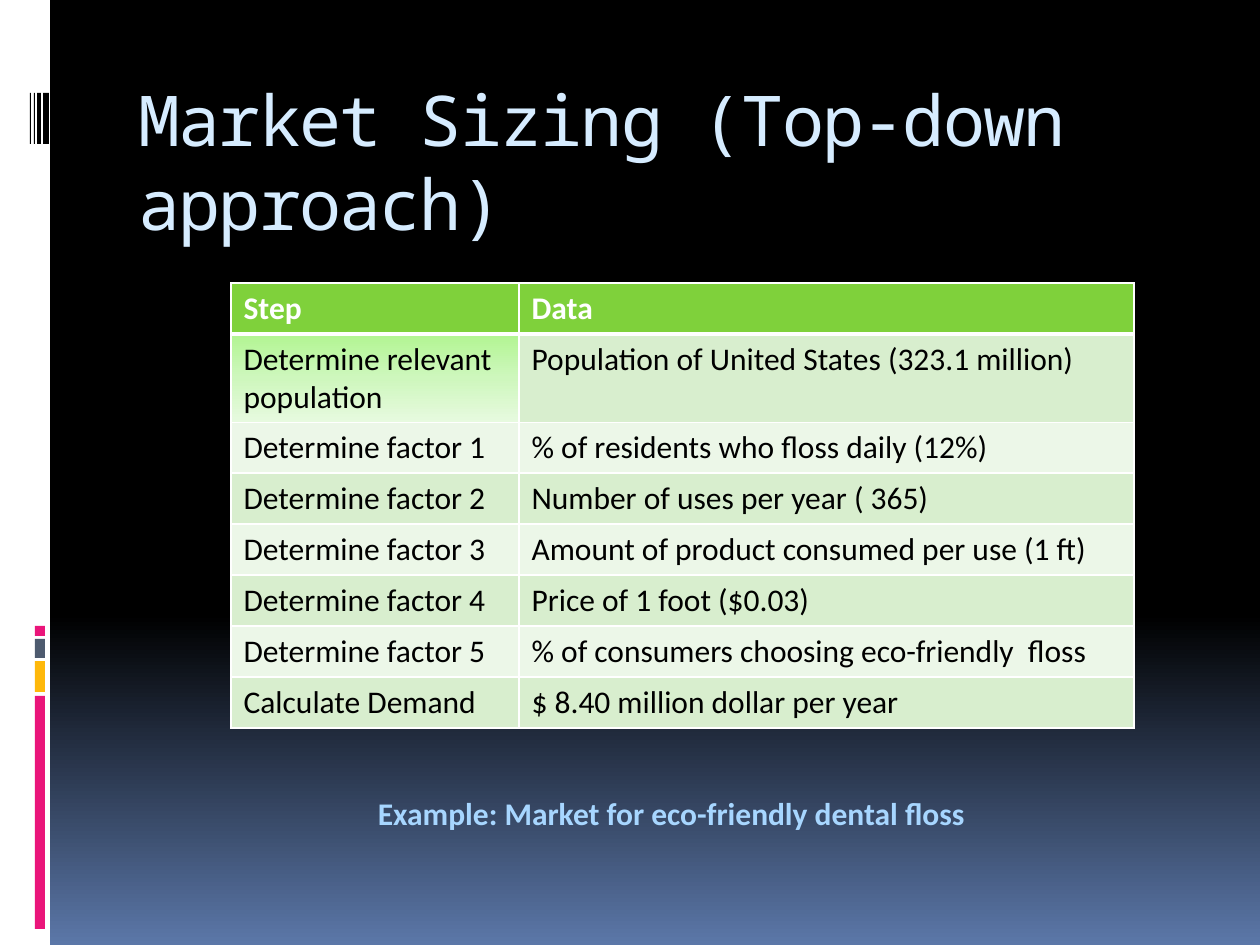
from lxml import etree
from pptx import Presentation
from pptx import util as u
from pptx.dml.color import RGBColor
from pptx.enum import shapes, text
from pptx.oxml.ns import qn

SCALE = 914400 / 126

STRIPES = [  # left, top, width, height, colour
    (0, 0, 50, 945, "FFFFFF"),
    (35, 696, 10, 233, "EA157A"),
    (35, 661, 10, 31, "FEB80A"),
    (35, 639, 10, 19, "4E5B6F"),
    (35, 626, 10, 10, "EA157A"),
]
BARS = [(43, 6), (37, 4), (34, 1), (30, 1)]  # left, width

ROWS = [
    ("Step", "Data"),
    ("Determine relevant population", "Population of United States (323.1 million)"),
    ("Determine factor 1", "% of residents who floss daily (12%)"),
    ("Determine factor 2", "Number of uses per year ( 365)"),
    ("Determine factor 3", "Amount of product consumed per use (1 ft)"),
    ("Determine factor 4", "Price of 1 foot ($0.03)"),
    ("Determine factor 5", "% of consumers choosing eco-friendly  floss"),
    ("Calculate Demand", "$ 8.40 million dollar per year"),
]


def px(n):
    return u.Emu(round(n * SCALE))


def rgb(code):
    return RGBColor.from_string(code)


def blend(fill, root, stops):
    """Fill downwards with (percent, colour) stops; root holds the fill's XML."""
    fill.gradient()
    fill.gradient_angle = 270
    lst = root.find(".//" + qn("a:gsLst"))
    for old in list(lst):
        lst.remove(old)
    for pos, code in stops:
        stop = etree.SubElement(lst, qn("a:gs"), pos=str(pos * 1000))
        etree.SubElement(stop, qn("a:srgbClr"), val=code)


def edge(cell, sizes):
    """Draw white borders, with widths in points for left, right, top, bottom."""
    props = cell._tc.get_or_add_tcPr()
    for i, (side, size) in enumerate(zip("LRTB", sizes)):
        line = etree.Element(qn("a:ln" + side), w=str(u.Pt(size)))
        solid = etree.SubElement(line, qn("a:solidFill"))
        etree.SubElement(solid, qn("a:srgbClr"), val="FFFFFF")
        props.insert(i, line)


class Deck:
    """Holds the text style and the current slide."""

    font = "Calibri"
    size = 18

    def __init__(self, wide, high):
        self.prs = Presentation()
        self.prs.slide_width, self.prs.slide_height = px(wide), px(high)
        self.slide = self.prs.slides.add_slide(self.prs.slide_layouts[6])

    def back(self, stops):
        ground = self.slide.background
        blend(ground.fill, self.slide.element, stops)

    def rect(self, x, y, w, h, code):
        box = self.slide.shapes.add_shape(
            shapes.MSO_SHAPE.RECTANGLE, px(x), px(y), px(w), px(h))
        box.shadow.inherit = False
        box.fill.solid()
        box.fill.fore_color.rgb = rgb(code)
        box.line.fill.background()

    def run(self, para, words, code, bold=False, font=None, size=None):
        run = para.add_run()
        run.text = words
        run.font.name = font or self.font
        run.font.size = u.Pt(size or self.size)
        run.font.bold = bold
        run.font.color.rgb = rgb(code)
        return run

    def label(self, x, y, w, h, words, code, align=text.PP_ALIGN.LEFT, **style):
        box = self.slide.shapes.add_textbox(px(x), px(y), px(w), px(h))
        box.text_frame.word_wrap = True
        para = box.text_frame.paragraphs[0]
        para.alignment = align
        return self.run(para, words, code, **style)

    def table(self, x, y, cols, highs, rows):
        grid = self.slide.shapes.add_table(
            len(rows), len(cols), px(x), px(y), px(sum(cols)), px(sum(highs))).table
        for col, w in zip(grid.columns, cols):
            col.width = px(w)
        for r, (row, h) in enumerate(zip(rows, highs)):
            grid.rows[r].height = px(h)
            head = r == 0
            code = "7FD13B" if head else ("ECF7E8", "D8EECE")[r % 2]
            for c, words in enumerate(row):
                cell = grid.cell(r, c)
                cell.fill.solid()
                cell.fill.fore_color.rgb = rgb(code)
                edge(cell, (1, 1, 3 if r == 1 else 1, 3 if head else 1))
                self.run(cell.text_frame.paragraphs[0], words,
                         "FFFFFF" if head else "000000", bold=head)
        return grid


def main():
    deck = Deck(1260, 945)
    deck.back([(0, "000000"), (65, "000000"), (100, "5B77A8")])
    for stripe in STRIPES:
        deck.rect(*stripe)
    for x, w in BARS:
        deck.rect(x, 93, w, 51, "000000")

    title = deck.label(126, 70, 1071, 126, "Market Sizing (Top-down approach)",
                       "D6ECFF", font="Noto Sans Mono", size=40)
    title.font._element.set("spc", "-100")

    grid = deck.table(231, 283, (288, 615), (51, 88) + (51,) * 6, ROWS)
    first = grid.cell(1, 0)
    blend(first.fill, first._tc, [(0, "B2F592"), (50, "CEF7BD"), (100, "E7FADF")])

    deck.label(262, 788, 819, 50, "Example: Market for eco-friendly dental floss",
               "A7D6FF", text.PP_ALIGN.CENTER, bold=True)
    deck.prs.save("out.pptx")


if __name__ == "__main__":
    main()
